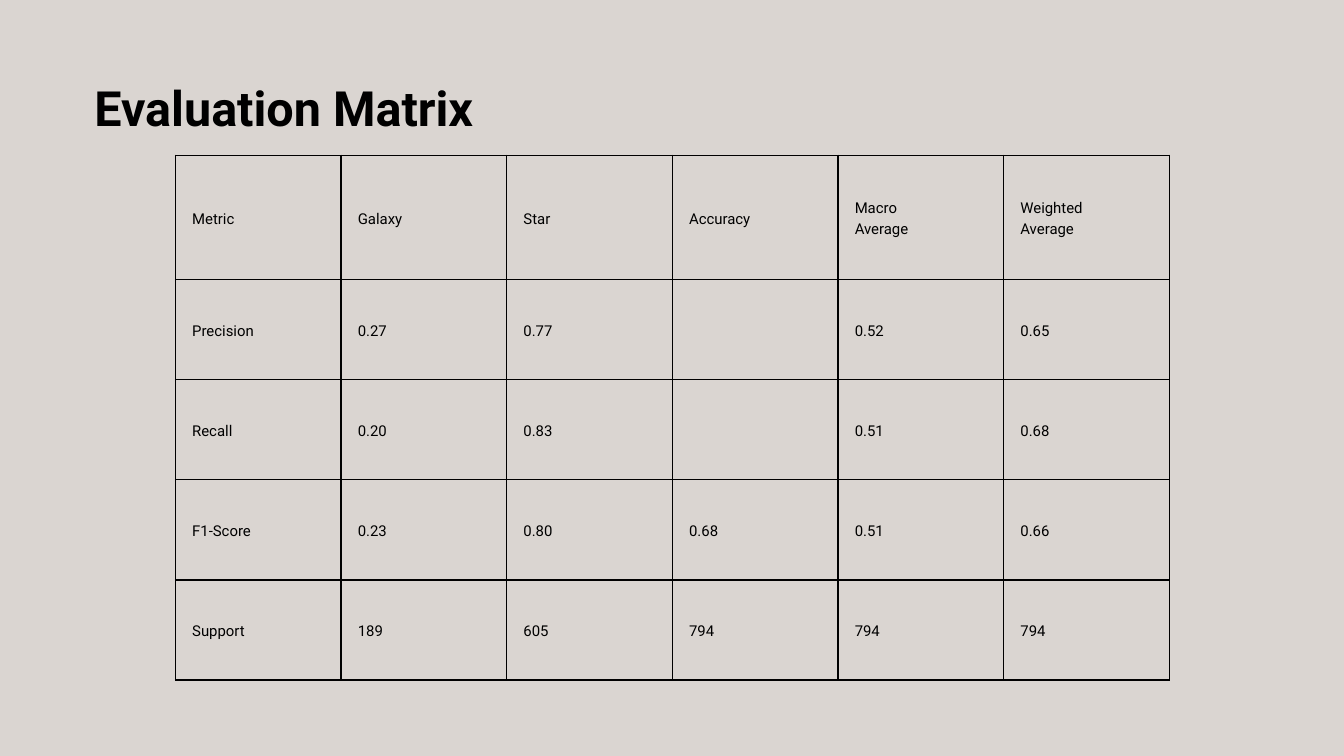
from lxml.etree import SubElement as Sub
from pptx import Presentation
from pptx.dml.color import RGBColor as RGB
from pptx.enum.text import MSO_ANCHOR as Anchor, MSO_AUTO_SIZE as Fit, PP_ALIGN as Align
from pptx.oxml.ns import qn
from pptx.util import Pt

SAND = RGB(0xDA, 0xD5, 0xD1)
BLACK = RGB(0, 0, 0)
FACE = "Roboto"

TITLE = "Evaluation Matrix"
ROWS = [
    ["Metric", "Galaxy", "Star", "Accuracy", "Macro\nAverage", "Weighted\nAverage"],
    ["Precision", "0.27", "0.77", "", "0.52", "0.65"],
    ["Recall", "0.20", "0.83", "", "0.51", "0.68"],
    ["F1-Score", "0.23", "0.80", "0.68", "0.51", "0.66"],
    ["Support", "189", "605", "794", "794", "794"],
]
HEAD = 133.2  # height of the heading row


def assign(obj, fmt):
    for key, val in fmt.items():
        setattr(obj, key, val)


def style(frame, size, line, align, bold=False):
    for para in frame.paragraphs:
        assign(para, dict(alignment=align, line_spacing=Pt(line)))
        assign(para.font, dict(name=FACE, size=Pt(size), bold=bold))
        para.font.color.rgb = BLACK


def place_title(slide, x, y, w, h):
    title = slide.shapes.title
    assign(title, dict(left=Pt(x), top=Pt(y), width=Pt(w), height=Pt(h)))
    frame = title.text_frame
    frame.text = TITLE
    assign(frame, dict(margin_left=0, margin_right=0, margin_top=0, margin_bottom=0,
                       word_wrap=True, auto_size=Fit.NONE, vertical_anchor=Anchor.TOP))
    style(frame, 52, 72.8, Align.CENTER, bold=True)


def add_border(cell, width):
    props = cell._tc.get_or_add_tcPr()
    for side in ("a:lnL", "a:lnR", "a:lnT", "a:lnB"):
        line = Sub(props, qn(side), w=str(Pt(width)))
        fill = Sub(line, qn("a:solidFill"))
        Sub(fill, qn("a:srgbClr"), val=str(BLACK))


def place_table(slide, x, y, w, h):
    table = slide.shapes.add_table(len(ROWS), len(ROWS[0]),
                                   Pt(x), Pt(y), Pt(w), Pt(h)).table
    assign(table, dict(first_row=False, horz_banding=False))
    for col in table.columns:
        col.width = Pt(w / len(ROWS[0]))
    for i, row in enumerate(table.rows):
        row.height = Pt((h - HEAD) / (len(ROWS) - 1) if i else HEAD)
        for cell, text in zip(row.cells, ROWS[i]):
            cell.text = text
            assign(cell, dict(vertical_anchor=Anchor.MIDDLE,
                              margin_left=Pt(18), margin_right=Pt(11),
                              margin_top=Pt(11), margin_bottom=Pt(11)))
            style(cell.text_frame, 16, 22.4, Align.LEFT)
            add_border(cell, 1.5)
            cell.fill.background()


def main():
    deck = Presentation()
    assign(deck, dict(slide_width=Pt(1440), slide_height=Pt(810)))
    slide = deck.slides.add_slide(deck.slide_layouts[5])
    fill = slide.background.fill
    fill.solid()
    fill.fore_color.rgb = SAND
    place_table(slide, 187.9, 166.3, 1065, 562.4)
    place_title(slide, 80.6, 73.4, 447.1, 69.8)
    deck.save("out.pptx")


if __name__ == "__main__":
    main()
